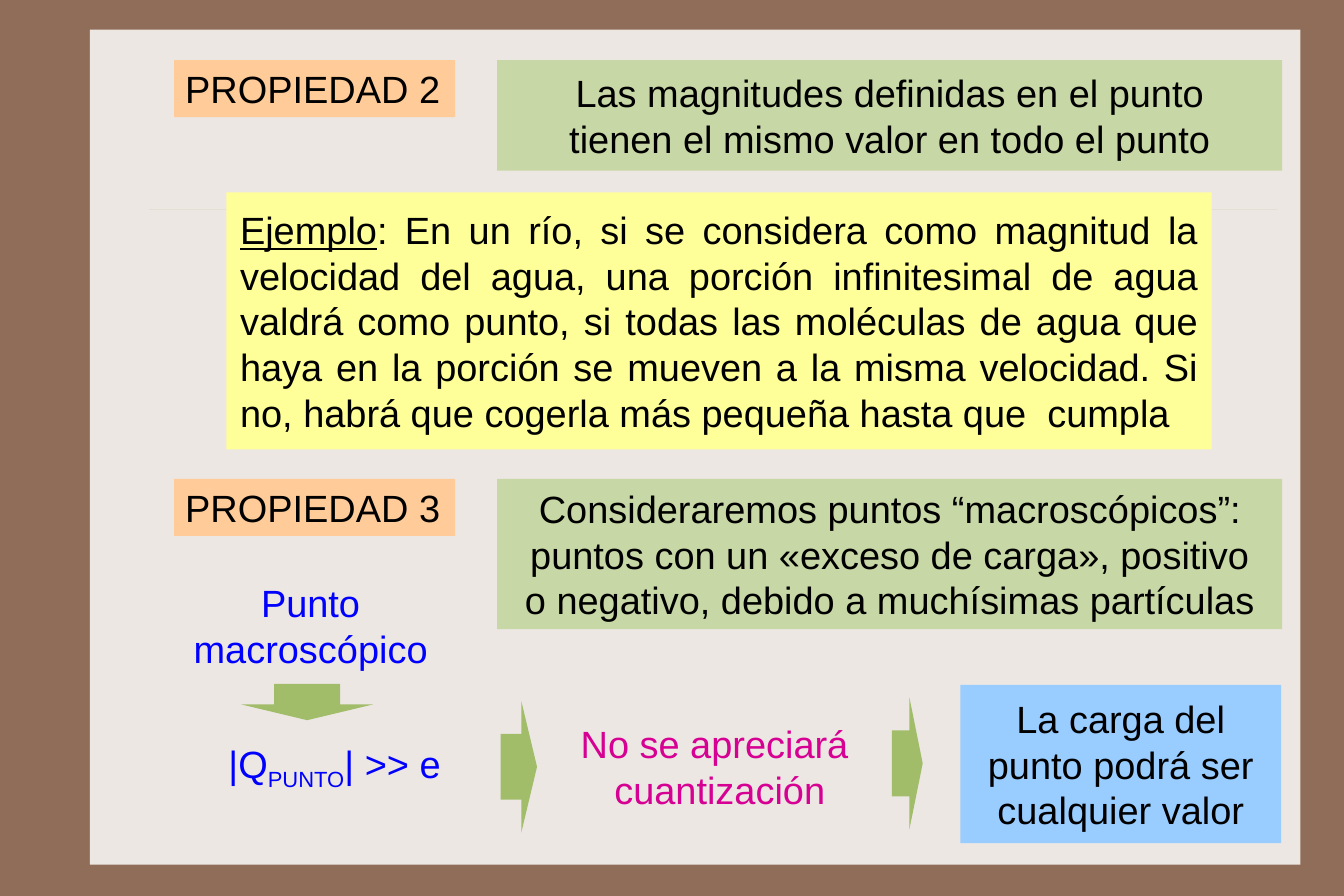
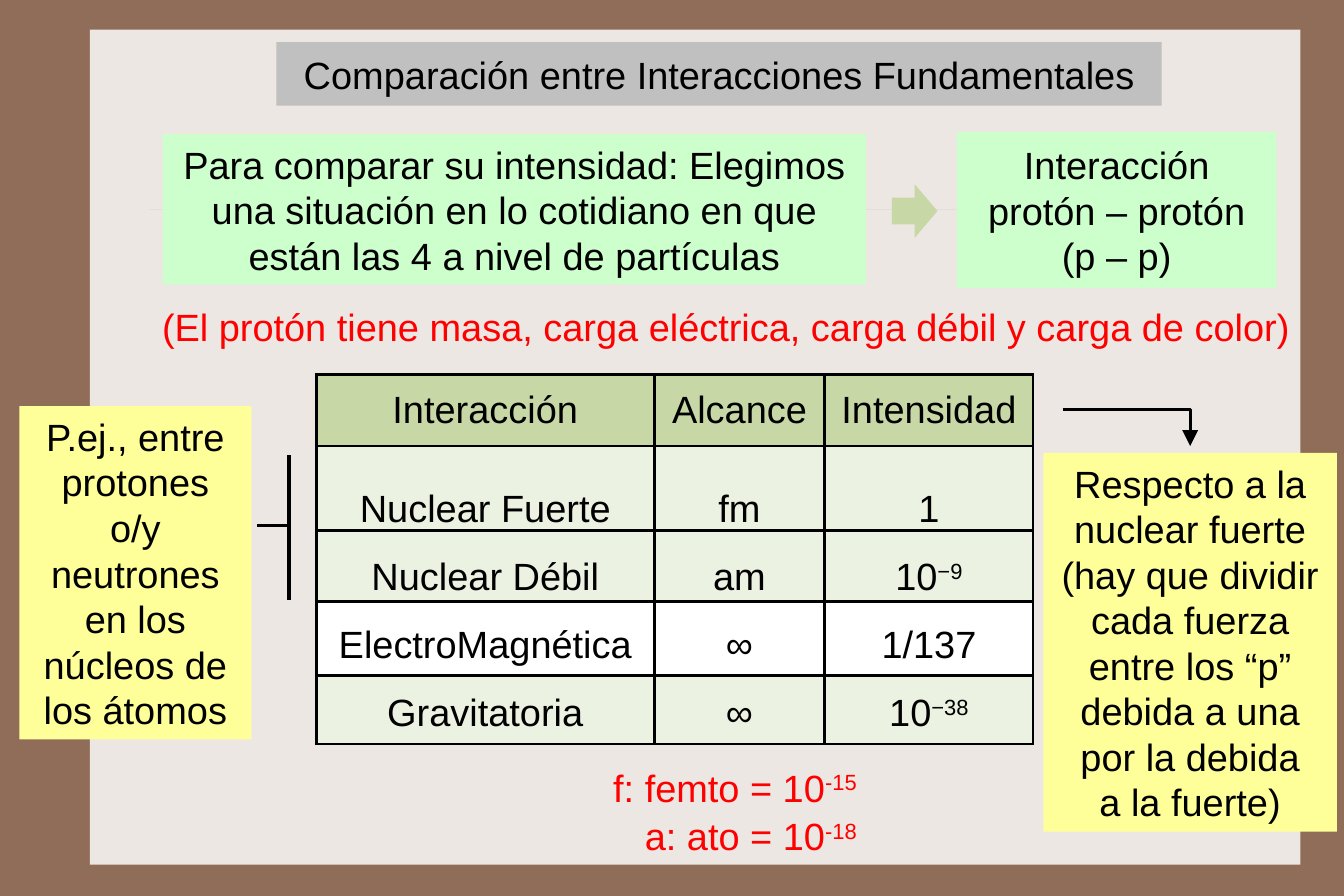
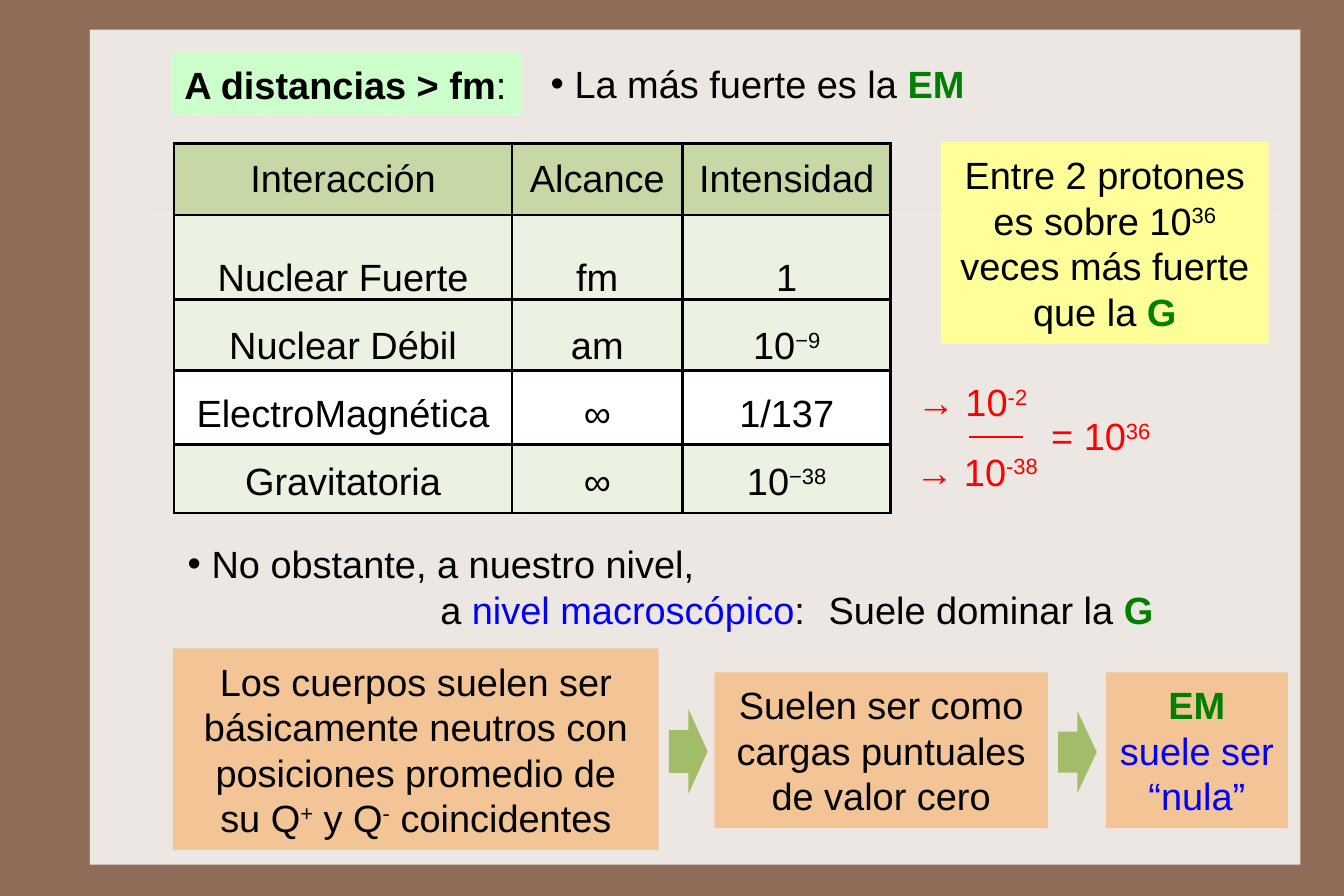
import pptx
import pptx.util
import pptx.dml.color
import pptx.enum.shapes
import pptx.enum.text
import pptx.oxml.ns
from lxml import etree
from itertools import accumulate

PX = 9144  # EMU per px, 100 px to the inch
FONT, SIZE = "Arial", 24
BLACK, BLUE, RED, GREEN, MAGENTA = "000000", "0000FF", "FF0000", "008000", "D60093"
FRAME, PAGE, RULE = "906D58", "EDE7E3", "E5DFD3"
SAGE, PALE_SAGE, LEAF, WHITE = "C7D7A5", "ECF2E1", "A1BD69", "FFFFFF"
YELLOW, MINT, PEACH, SAND = "FFFF99", "CCFFCC", "FFCC99", "F3C495"
SKY, SILVER = "99CCFF", "C0C0C0"

SHAPE = pptx.enum.shapes.MSO_SHAPE
ALIGN = pptx.enum.text.PP_ALIGN
ANCHOR = pptx.enum.text.MSO_ANCHOR
BULLET_INDENT = 21

COLUMNS = (297, 150, 183)
ROWS = (63, 74, 63, 65, 60)
LINE, FIRST_CENTER = 40, 117


def px(*lengths):
    return [pptx.util.Emu(round(length * PX)) for length in lengths]


def rgb(color):
    return pptx.dml.color.RGBColor.from_string(color)


def add_xml(parent, tag, **attributes):
    return etree.SubElement(parent, pptx.oxml.ns.qn(tag), attributes)


def sup(text):
    return text, {"baseline": 30}


def strong(text):
    return text, {"color": GREEN, "bold": True}


def write(frame, paragraphs, color=BLACK, align=ALIGN.CENTER, margin=10):
    """Fill a text frame; a paragraph is a string or a list of strings and (text, style) runs."""
    frame.word_wrap = True
    frame.vertical_anchor = ANCHOR.MIDDLE
    frame.margin_left, frame.margin_right, frame.margin_top, frame.margin_bottom = px(margin, margin, 5, 5)
    for index, content in enumerate(paragraphs):
        paragraph = frame.paragraphs[0] if index == 0 else frame.add_paragraph()
        paragraph.alignment = align
        for item in [content] if isinstance(content, str) else content:
            text, style = (item, {}) if isinstance(item, str) else item
            run = paragraph.add_run()
            run.text = text
            run.font.name, run.font.size = FONT, pptx.util.Pt(SIZE)
            run.font.color.rgb = rgb(style.get("color", color))
            run.font.bold = style.get("bold", False)
            run.font.underline = style.get("underline", False)
            if "baseline" in style:
                run.font._element.set("baseline", str(style["baseline"] * 1000))


def indent(paragraph, left, bullet=False):
    properties = paragraph._p.get_or_add_pPr()
    properties.set("marL", str(left * PX))
    if bullet:
        properties.set("indent", str(-left * PX))
        add_xml(properties, "a:buFont", typeface=FONT)
        add_xml(properties, "a:buChar", char="•")


def label(slide, box, paragraphs, fill=None, **style):
    """Text in a box, on a filled panel if a fill is given."""
    if fill:
        panel = block(slide, box, fill)
    else:
        panel = slide.shapes.add_textbox(*px(*box))
    write(panel.text_frame, paragraphs, **style)
    return panel


def block(slide, box, fill, kind=SHAPE.RECTANGLE):
    panel = slide.shapes.add_shape(kind, *px(*box))
    panel.shadow.inherit = False
    panel.fill.solid()
    panel.fill.fore_color.rgb = rgb(fill)
    panel.line.fill.background()
    return panel


def arrow(slide, box, fill=LEAF, kind=SHAPE.RIGHT_ARROW, head=0.5):
    block(slide, box, fill, kind).adjustments[1] = head


def line(slide, start, end, color=BLACK, width=2):
    stroke = slide.shapes.add_connector(
        pptx.enum.shapes.MSO_CONNECTOR.STRAIGHT, *px(*start, *end))
    stroke.line.color.rgb = rgb(color)
    stroke.line.width = pptx.util.Pt(width)
    add_xml(stroke._element.spPr, "a:effectLst")


def new_slide(prs):
    slide = prs.slides.add_slide(prs.slide_layouts[6])
    block(slide, (79, 26, 1064, 734), PAGE)
    line(slide, (131, 184), (1122, 184), RULE, 0.25)
    return slide


def outline_cell(cell):
    properties = cell._tc.get_or_add_tcPr()
    for side in ("a:lnL", "a:lnR", "a:lnT", "a:lnB"):
        border = add_xml(properties, side, w=str(pptx.util.Pt(2)))
        add_xml(add_xml(border, "a:solidFill"), "a:srgbClr", val=BLACK)


def interaction_table(slide, left, top):
    contents = [
        ("Interacción", "Alcance", "Intensidad"),
        ("Nuclear Fuerte", "fm", "1"),
        ("Nuclear Débil", "am", ["10", sup("−9")]),
        ("ElectroMagnética", "∞", "1/137"),
        ("Gravitatoria", "∞", ["10", sup("−38")]),
    ]
    fills = (SAGE, PALE_SAGE, PALE_SAGE, WHITE, PALE_SAGE)
    table = slide.shapes.add_table(
        len(ROWS), len(COLUMNS), *px(left, top, sum(COLUMNS), sum(ROWS))).table
    table.first_row = table.horz_banding = False
    for column, width in zip(table.columns, px(*COLUMNS)):
        column.width = width
    for row, height in zip(table.rows, px(*ROWS)):
        row.height = height
    for index, (row, bottom) in enumerate(zip(contents, accumulate(ROWS))):
        for cell, content in zip(table.rows[index].cells, row):
            outline_cell(cell)
            cell.fill.solid()
            cell.fill.fore_color.rgb = rgb(fills[index])
            write(cell.text_frame, [content])
            cell.margin_left = cell.margin_right = cell.margin_top = cell.margin_bottom = 0
            cell.vertical_anchor = ANCHOR.MIDDLE
            if index:  # body lines keep an even pitch of one and a half lines
                line_bottom = FIRST_CENTER + (index - 1) * LINE * 1.5 + LINE / 2
                cell.vertical_anchor = ANCHOR.BOTTOM
                cell.margin_bottom = px(bottom - line_bottom)[0]


def property_block(slide, left, top, heading, statement, height):
    label(slide, (left, top, 247, 50), [heading], PEACH, align=ALIGN.LEFT)
    label(slide, (left + 284, top, 690, height), statement, SAGE)


def macroscopic_point(slide, left, top):
    """Chain of consequences from the macroscopic point to its charge."""
    head = 0.432
    label(slide, (left, top, 260, 91), ["Punto macroscópico"], color=BLUE)
    arrow(slide, (left + 69, top + 97, 116, 32), kind=SHAPE.DOWN_ARROW, head=head)
    label(slide, (left + 48, top + 144, 232, 51),
          [["|Q", ("PUNTO", {"baseline": -25}), "| >> e"]], color=BLUE, align=ALIGN.LEFT)
    arrow(slide, (left + 297, top + 112, 32, 116), head=head)
    label(slide, (left + 355, top + 124, 260, 91),
          ["No se apreciará  cuantización"], color=MAGENTA)
    arrow(slide, (left + 641, top + 109, 27, 116), head=head)
    label(slide, (left + 701, top + 98, 282, 139),
          ["La carga del punto podrá ser cualquier valor"], SKY)


def nuclear_note(slide, left, top):
    label(slide, (left, top, 204, 293),
          ["P.ej., entre protones", "o/y neutrones en los núcleos de los átomos"], YELLOW)
    line(slide, (left + 237, top + 43), (left + 237, top + 170))
    line(slide, (left + 237, top + 105), (left + 209, top + 105))


def intensity_note(slide, left, top):
    builder = slide.shapes.build_freeform(left + 17, top, PX)
    builder.add_line_segments([(left + 129, top), (left + 129, top + 32)], close=False)
    pointer = builder.convert_to_shape()
    pointer.shadow.inherit = False
    pointer.fill.background()
    pointer.line.color.rgb = rgb(BLACK)
    pointer.line.width = pptx.util.Pt(2)
    add_xml(pointer.line._get_or_add_ln(), "a:tailEnd", type="triangle", w="lg", len="lg")
    label(slide, (left, top + 38, 258, 333),
          ["Respecto a la nuclear fuerte",
           "(hay que dividir cada fuerza entre los “p” debida a una por la debida",
           "a la fuerte)"], YELLOW)


def intensity_ratio(slide, left, top):
    label(slide, (left, top, 143, 56), [["→ 10", sup("-2")]], color=RED)
    label(slide, (left + 7, top + 61, 137, 56), [["→ 10", sup("-38")]], color=RED)
    line(slide, (left + 69, top + 59), (left + 116, top + 59), RED, 1.5)
    label(slide, (left + 127, top + 30, 115, 56), [["= 10", sup("36")]], color=RED)


def neutral_bodies(slide, left, top):
    """Chain explaining why the electromagnetic force vanishes at large scale."""
    label(slide, (left, top, 427, 177),
          ["Los cuerpos suelen ser básicamente neutros con posiciones promedio de",
           ["su Q", sup("+"), " y Q", sup("-"), " coincidentes"]], SAND, margin=12)
    arrow(slide, (left + 436, top + 53, 34, 75))
    label(slide, (left + 476, top + 21, 293, 137),
          ["Suelen ser como cargas puntuales de valor cero"], SAND, margin=12)
    arrow(slide, (left + 778, top + 55, 34, 72))
    label(slide, (left + 820, top + 21, 160, 137),
          [[strong("EM "), "suele ser “nula”"]], SAND, color=BLUE, margin=12)


def properties_slide(prs):
    slide = new_slide(prs)
    property_block(slide, 153, 53, "PROPIEDAD 2",
                   ["Las magnitudes definidas en el punto",
                    "tienen el mismo valor en todo el punto"], 97)
    label(slide, (199, 169, 866, 226),
          [[("Ejemplo", {"underline": True}),
            ": En un río, si se considera como magnitud la velocidad del agua, una porción "
            "infinitesimal de agua valdrá como punto, si todas las moléculas de agua que haya "
            "en la porción se mueven a la misma velocidad. Si no, habrá que cogerla más "
            "pequeña hasta que  cumpla"]],
          YELLOW, align=ALIGN.JUSTIFY, margin=12)
    property_block(slide, 153, 421, "PROPIEDAD 3",
                   ["Consideraremos puntos “macroscópicos”: puntos con un «exceso de carga», positivo",
                    "o negativo, debido a muchísimas partículas"], 132)
    macroscopic_point(slide, 143, 504)


def comparison_slide(prs):
    slide = new_slide(prs)
    label(slide, (243, 37, 778, 56), ["Comparación entre Interacciones Fundamentales"], SILVER)
    label(slide, (143, 118, 618, 132),
          ["Para comparar su intensidad: Elegimos una situación en lo cotidiano en que "
           "están las 4 a nivel de partículas"], MINT)
    arrow(slide, (784, 162, 40, 47), SAGE)
    label(slide, (841, 116, 281, 137), ["Interacción protón – protón", "(p – p)"], MINT)
    label(slide, (132, 262, 1012, 50),
          ["(El protón tiene masa, carga eléctrica, carga débil y carga de color)"],
          color=RED, margin=0)
    interaction_table(slide, 278, 329)
    nuclear_note(slide, 17, 357)
    intensity_note(slide, 917, 360)
    prefixes = label(slide, (500, 666, 263, 94),
                     [["f: femto = 10", sup("-15")], ["a: ato = 10", sup("-18")]],
                     color=RED, align=ALIGN.RIGHT)
    prefixes.text_frame.paragraphs[1].space_before = pptx.util.Pt(2)


def distance_slide(prs):
    slide = new_slide(prs)
    left_aligned = {"align": ALIGN.LEFT, "margin": 12}
    label(slide, (150, 46, 308, 56),
          [[("A distancias > fm", {"bold": True}), ":"]], MINT, **left_aligned)
    strongest = label(slide, (472, 45, 409, 56),
                      [["La más fuerte es la ", strong("EM")]], **left_aligned)
    indent(strongest.text_frame.paragraphs[0], BULLET_INDENT, bullet=True)
    interaction_table(slide, 153, 126)
    label(slide, (827, 125, 288, 177),
          [["Entre 2 protones es sobre 10", sup("36"), " veces más fuerte que la ", strong("G")]],
          YELLOW, margin=12)
    intensity_ratio(slide, 783, 325)
    our_level = label(slide, (153, 467, 603, 97),
                      ["No obstante, a nuestro nivel,",
                       ["a ", ("nivel macroscópico", {"color": BLUE}), ":"]], **left_aligned)
    indent(our_level.text_frame.paragraphs[0], BULLET_INDENT, bullet=True)
    indent(our_level.text_frame.paragraphs[1], 222)
    label(slide, (710, 508, 322, 56), [["Suele dominar la ", strong("G")]])
    neutral_bodies(slide, 152, 570)


def main():
    prs = pptx.Presentation()
    prs.slide_width, prs.slide_height = px(1181.25, 787.5)
    backdrop = prs.slide_master.background.fill
    backdrop.solid()
    backdrop.fore_color.rgb = rgb(FRAME)
    properties_slide(prs)
    comparison_slide(prs)
    distance_slide(prs)
    prs.save("out.pptx")


if __name__ == "__main__":
    main()
